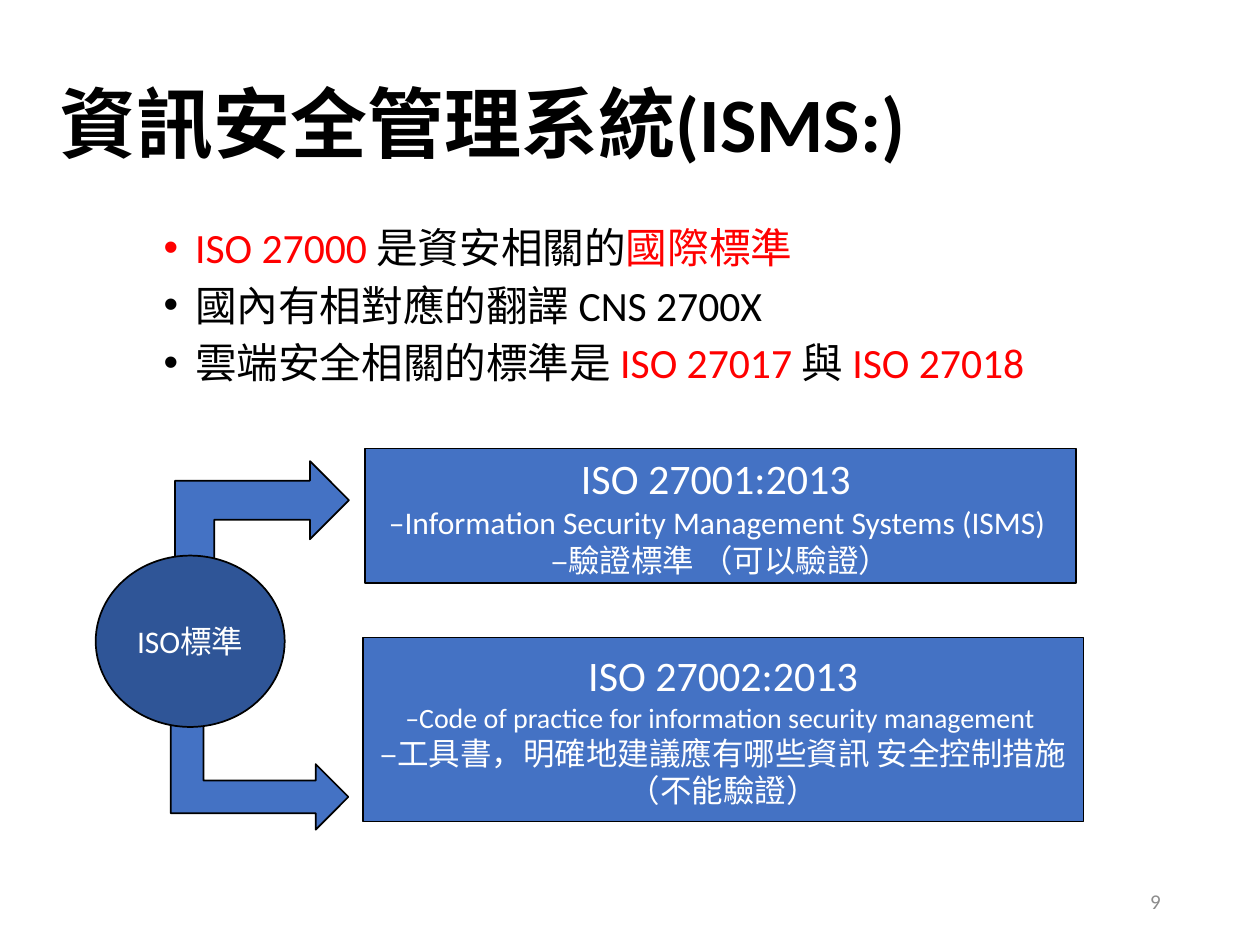
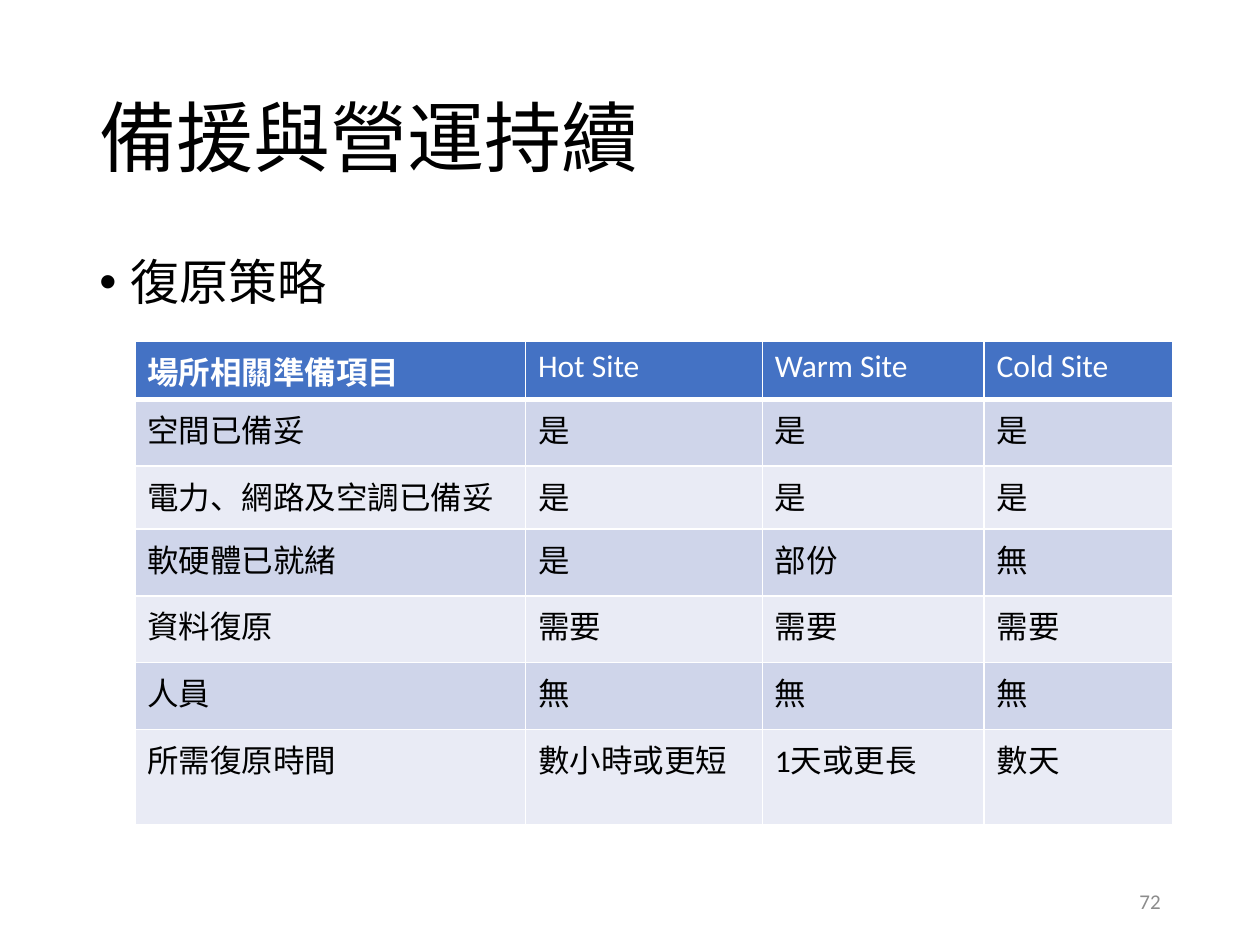
from lxml.etree import SubElement
from pptx import Presentation
from pptx.dml.color import RGBColor
from pptx.enum.shapes import MSO_SHAPE
from pptx.enum.text import MSO_ANCHOR, MSO_AUTO_SIZE, PP_ALIGN
from pptx.oxml.ns import qn
from pptx.util import Inches, Pt

COLORS = {
    "black": "000000", "white": "FFFFFF", "red": "FF0000", "gray": "8C8C8C",
    "blue": "4472C4", "navy": "2F5597", "band": "CFD5EA", "pale": "E9EBF5",
}
FONT = "Calibri"


def color(name):
    return RGBColor.from_string(COLORS[name])


def write(frame, lines, align=PP_ALIGN.LEFT, anchor=MSO_ANCHOR.TOP, bold=False,
          bullet=False, spacing=None):
    frame.word_wrap = True
    frame.vertical_anchor = anchor
    for index, (runs, size, default) in enumerate(lines):
        paragraph = frame.add_paragraph() if index else frame.paragraphs[0]
        paragraph.alignment = align
        if spacing:
            paragraph.line_spacing = spacing
            paragraph.space_before = Pt(10 if index else 0)
        if bullet:
            properties = paragraph._p.get_or_add_pPr()
            properties.set("marL", str(Inches(0.25)))
            properties.set("indent", str(-Inches(0.25)))
            SubElement(properties, qn("a:buFont")).set("typeface", "Arial")
            SubElement(properties, qn("a:buChar")).set("char", "•")
        paragraph.font.name = FONT
        paragraph.font.size = Pt(size)
        paragraph.font.bold = bold
        paragraph.font.color.rgb = color(default)
        for text, run_color in [(runs, default)] if isinstance(runs, str) else runs:
            run = paragraph.add_run()
            run.text = text
            if run_color != default:
                run.font.color.rgb = color(run_color)


presentation = Presentation()
presentation.slide_width = Inches(10)
presentation.slide_height = Inches(7.5)

slides = []
for title, left, top, bold, number in [
    ("資訊安全管理系統(ISMS:)", 0.37, 0.29, True, "9"),
    ("備援與營運持續", 0.69, 0.4, False, "72"),
]:
    slide = presentation.slides.add_slide(presentation.slide_layouts[5])
    placeholder = slide.shapes.title
    placeholder.left, placeholder.top = Inches(left), Inches(top)
    placeholder.width, placeholder.height = Inches(8.62), Inches(1.45)
    placeholder.text_frame.auto_size = MSO_AUTO_SIZE.NONE
    write(placeholder.text_frame, [(title, 44, "black")],
          anchor=MSO_ANCHOR.MIDDLE, bold=bold, spacing=0.9)
    footer = slide.shapes.add_textbox(Inches(7.06), Inches(6.95), Inches(2.25), Inches(0.4))
    write(footer.text_frame, [(number, 12, "gray")], PP_ALIGN.RIGHT, MSO_ANCHOR.MIDDLE)
    slides.append(slide)
standards_slide, recovery_slide = slides

points = standards_slide.shapes.add_textbox(Inches(1.2), Inches(1.79), Inches(7.59), Inches(1.53))
write(points.text_frame, [
    ([("ISO 27000 ", "red"), ("是資安相關的", "black"), ("國際標準", "red")], 23.8, "red"),
    ("國內有相對應的翻譯 CNS 2700X", 23.8, "black"),
    ([("雲端安全相關的標準是 ", "black"), ("ISO 27017 ", "red"), ("與 ", "black"),
      ("ISO 27018", "red")], 23.8, "black"),
], bullet=True, spacing=0.8)

for kind, left, top, width, height, fill, lines in [
    (MSO_SHAPE.BENT_UP_ARROW, 1.46, 3.59, 1.24, 1.38, "blue", []),
    (MSO_SHAPE.RECTANGLE, 2.9, 3.56, 5.64, 1.07, "blue", [
        ("ISO 27001:2013 ", 24, "white"),
        ("–Information Security Management Systems (ISMS) ", 18, "white"),
        ("–驗證標準 （可以驗證）", 18, "white"),
    ]),
    (MSO_SHAPE.RECTANGLE, 2.88, 5.06, 5.72, 1.46, "blue", [
        ("ISO 27002:2013", 24, "white"),
        ("–Code of practice for information security management ", 16, "white"),
        ("–工具書，明確地建議應有哪些資訊 安全控制措施 （不能驗證）", 18, "white"),
    ]),
    (MSO_SHAPE.BENT_UP_ARROW, 1.54, 5.36, 1.04, 1.41, "blue", []),
    (MSO_SHAPE.OVAL, 0.76, 4.41, 1.5, 1.36, "navy", [("ISO標準", 18, "white")]),
]:
    shape = standards_slide.shapes.add_shape(
        kind, Inches(left), Inches(top), Inches(width), Inches(height))
    shape.shadow.inherit = False
    shape.fill.solid()
    shape.fill.fore_color.rgb = color(fill)
    shape.line.color.rgb = color("black")
    shape.line.width = Pt(1)
    if kind == MSO_SHAPE.BENT_UP_ARROW:
        shape.rotation = 90
        if top < 4:
            shape.element.spPr.xfrm.set("flipH", "1")
    write(shape.text_frame, lines, PP_ALIGN.CENTER, MSO_ANCHOR.MIDDLE)

strategy = recovery_slide.shapes.add_textbox(Inches(0.69), Inches(2), Inches(8.62), Inches(0.65))
write(strategy.text_frame, [("復原策略", 28, "black")], bullet=True, spacing=0.9)

site_rows = [
    ("場所相關準備項目", "Hot Site", "Warm Site", "Cold Site"),
    ("空間已備妥", "是", "是", "是"),
    ("電力、網路及空調已備妥", "是", "是", "是"),
    ("軟硬體已就緒", "是", "部份", "無"),
    ("資料復原", "需要", "需要", "需要"),
    ("人員", "無", "無", "無"),
    ("所需復原時間", "數小時或更短", "1天或更長", "數天"),
]
column_widths = [3.1, 1.88, 1.76, 1.5]
row_heights = [0.46, 0.53, 0.5, 0.53, 0.53, 0.53, 0.76]
table = recovery_slide.shapes.add_table(
    len(site_rows), len(column_widths), Inches(1.07), Inches(2.71),
    Inches(sum(column_widths)), Inches(sum(row_heights))).table
for column, width in zip(table.columns, column_widths):
    column.width = Inches(width)
for row_index, (row, height, texts) in enumerate(zip(table.rows, row_heights, site_rows)):
    row.height = Inches(height)
    is_header = row_index == 0
    fill = "blue" if is_header else ("pale", "band")[row_index % 2]
    for column_index, (cell, text) in enumerate(zip(row.cells, texts)):
        write(cell.text_frame, [(text, 18, "white" if is_header else "black")],
              bold=is_header and column_index == 0)
        properties = cell._tc.get_or_add_tcPr()
        for side in ("lnL", "lnR", "lnT", "lnB"):
            thick = (row_index, side) in [(0, "lnB"), (1, "lnT")]
            border = SubElement(properties, qn(f"a:{side}"), w=str(Pt(3 if thick else 1)))
            border_fill = SubElement(border, qn("a:solidFill"))
            SubElement(border_fill, qn("a:srgbClr"), val=COLORS["white"])
        cell.fill.solid()
        cell.fill.fore_color.rgb = color(fill)

presentation.save("out.pptx")
